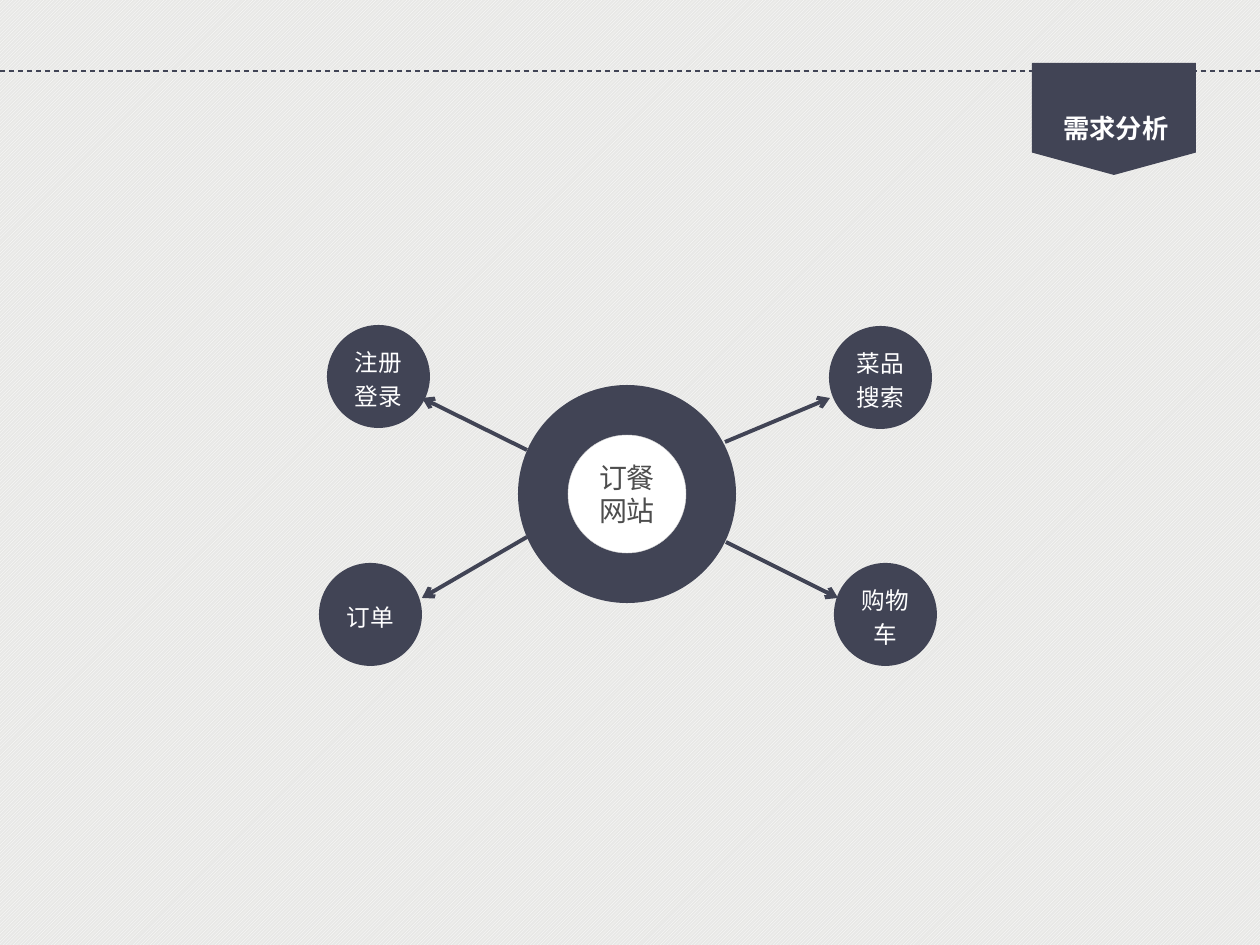
from dataclasses import dataclass

from lxml import etree
from pptx import Presentation
from pptx.dml.color import RGBColor
from pptx.enum.dml import MSO_LINE, MSO_PATTERN
from pptx.enum.shapes import MSO_CONNECTOR, MSO_SHAPE
from pptx.enum.text import MSO_ANCHOR, MSO_AUTO_SIZE, PP_ALIGN
from pptx.oxml.ns import qn
from pptx.util import Pt

OVAL = MSO_SHAPE.OVAL
FLAG = MSO_SHAPE.FLOWCHART_OFFPAGE_CONNECTOR
STRAIGHT = MSO_CONNECTOR.STRAIGHT
DASH = MSO_LINE.DASH
STRIPES = MSO_PATTERN.LIGHT_UPWARD_DIAGONAL
CENTER = PP_ALIGN.CENTER
MIDDLE = MSO_ANCHOR.MIDDLE
GROW = MSO_AUTO_SIZE.SHAPE_TO_FIT_TEXT

SCALE = 914400 / 126
WIDTH, HEIGHT = 1260, 945


@dataclass(frozen=True)
class Theme:
    dark: str = "414455"
    white: str = "FFFFFF"
    paper: str = "E8E8E6"
    rim: str = "D7D7D7"
    gray: str = "4D4D4D"
    title_font: str = "Noto Sans CJK SC"
    hub_font: str = "Roboto Condensed"
    node_font: str = "Arial"
    title_size: float = 15
    hub_size: float = 16
    node_size: float = 13.5


THEME = Theme()

# label, left and top of the circle, arrow start, arrow end
NODES = [
    ("注册登录", (8, 0), (208, 125), (103, 73)),
    ("菜品搜索", (510, 1), (406, 117), (511, 73)),
    ("购物车", (515, 238), (407, 217), (519, 273)),
    ("订单", (0, 238), (208, 212), (103, 273)),
]


def emu(*px):
    return [round(n * SCALE) for n in px]


def color(code):
    return RGBColor.from_string(code)


def add_solid(slide, kind, box, fill):
    shape = slide.shapes.add_shape(kind, *emu(*box))
    shape.shadow.inherit = False
    shape.fill.solid()
    shape.fill.fore_color.rgb = color(fill)
    shape.line.fill.background()
    return shape


def add_line(slide, start, end, width):
    line = slide.shapes.add_connector(STRAIGHT, *emu(*start, *end))
    line.line.color.rgb = color(THEME.dark)
    line.line.width = Pt(width)
    etree.SubElement(line._element.spPr, qn("a:effectLst"))
    return line


def add_arrow(slide, start, end):
    line = add_line(slide, start, end, 2.25)
    etree.SubElement(line.line._get_or_add_ln(), qn("a:tailEnd"), type="arrow")


def write(shape, text, face, size, ink):
    para = shape.text_frame.paragraphs[0]
    para.text = text
    para.font.name = face
    para.font.size = Pt(size)
    para.font.color.rgb = color(ink)
    return para


def write_center(shape, *style):
    shape.text_frame.word_wrap = True
    shape.text_frame.vertical_anchor = MIDDLE
    para = write(shape, *style)
    para.alignment = CENTER
    return para


def draw_header(slide, left, top, width):
    """Dashed rule across the box, with the title flag hanging near its end."""
    rule = add_line(slide, (left, top + 8), (left + width, top + 8), 0.75)
    rule.line.dash_style = DASH
    flag = left + width - 228
    add_solid(slide, FLAG, (flag, top, 164, 112), THEME.dark)
    title = slide.shapes.add_textbox(*emu(flag + 19, top + 43, 130, 44))
    title.text_frame.word_wrap = False
    title.text_frame.auto_size = GROW
    para = write(title, "需求分析", THEME.title_font, THEME.title_size, THEME.white)
    para.font.bold = True


def draw_hub(slide, left, top, size):
    add_solid(slide, OVAL, (left, top, size, size), THEME.dark)
    inset, core = 50, size - 100
    disc = add_solid(slide, OVAL, (left + inset, top + inset, core, core), THEME.white)
    disc.line.color.rgb = color(THEME.rim)
    disc.line.width = Pt(0.25)
    write_center(disc, "订餐网站", THEME.hub_font, THEME.hub_size, THEME.gray)


def draw_map(slide, left, top):
    """Hub with its four features, each reached by an arrow."""
    def place(point):
        return left + point[0], top + point[1]

    draw_hub(slide, *place((199, 60)), 218)
    for label, spot, start, end in NODES:
        node = add_solid(slide, OVAL, (*place(spot), 103, 103), THEME.dark)
        para = write_center(node, label, THEME.node_font, THEME.node_size, THEME.white)
        para.line_spacing = 1.2
        add_arrow(slide, place(start), place(end))


def main():
    deck = Presentation()
    deck.slide_width, deck.slide_height = emu(WIDTH, HEIGHT)
    slide = deck.slides.add_slide(deck.slide_layouts[6])
    back = slide.background.fill
    back.patterned()
    back.pattern = STRIPES
    back.fore_color.rgb = color(THEME.white)
    back.back_color.rgb = color(THEME.paper)
    draw_map(slide, 319, 325)
    draw_header(slide, 0, 63, WIDTH)
    deck.save("out.pptx")


if __name__ == "__main__":
    main()
